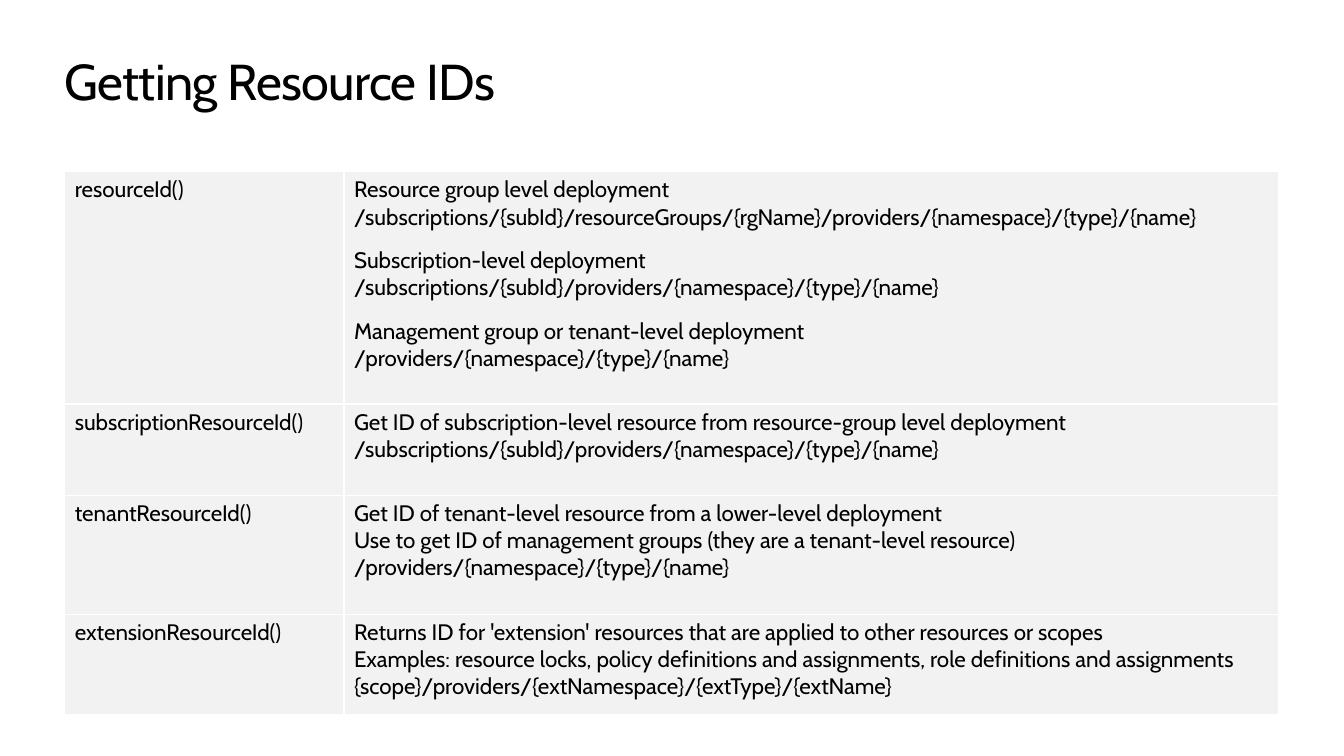
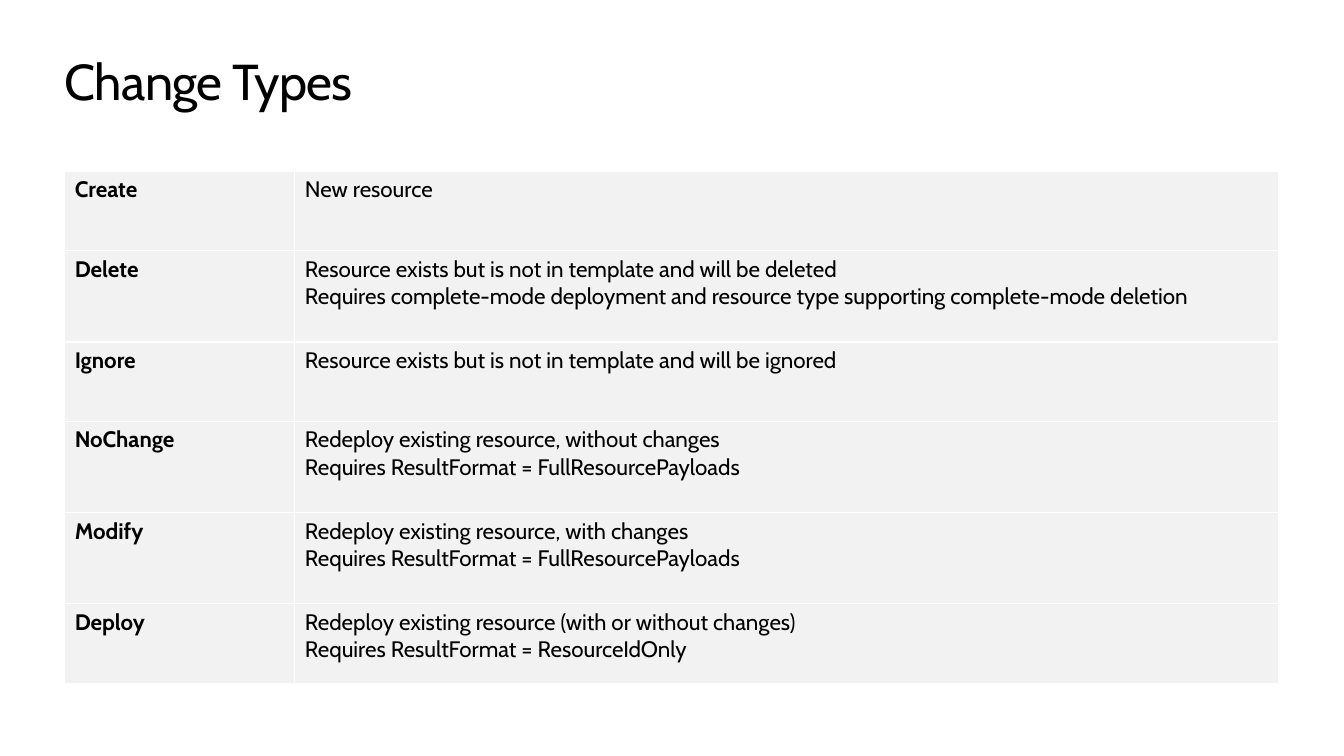
"""Build two slides, each a title above a two-column reference table."""
import copy
import dataclasses

import lxml.etree
import pptx
import pptx.dml.color
import pptx.enum.text
import pptx.oxml
import pptx.oxml.ns
import pptx.util

Cm = pptx.util.Cm
Pt = pptx.util.Pt


@dataclasses.dataclass(frozen=True)
class Theme:
    """Colours, type sizes and shared places."""
    font: str = "Cabin"
    ink: str = "000000"
    cell: str = "F2F2F2"
    border: str = "FFFFFF"
    border_width: int = Pt(1)
    title_size: int = Pt(36)
    title_spacing: str = "-50"
    body_size: int = Pt(16)
    block_gap: int = Pt(12)
    title_box: tuple = (Cm(1.63), Cm(1.27), Cm(30.6), Cm(1.55))
    table_box: tuple = (Cm(1.63), Cm(4.32), Cm(30.6))


THEME = Theme()

RESOURCE_IDS = {
    "title": "Getting Resource IDs",
    "label_width": Cm(7.04),
    "bold_labels": False,
    "rows": [
        (Cm(5.86), "resourceId()", [
            ["Resource group level deployment",
             "/subscriptions/{subId}/resourceGroups/{rgName}/providers/{namespace}/{type}/{name}"],
            ["Subscription-level deployment",
             "/subscriptions/{subId}/providers/{namespace}/{type}/{name}"],
            ["Management group or tenant-level deployment",
             "/providers/{namespace}/{type}/{name}"],
        ]),
        (Cm(2.3), "subscriptionResourceId()", [
            ["Get ID of subscription-level resource from resource-group level deployment\v"
             "/subscriptions/{subId}/providers/{namespace}/{type}/{name}"],
        ]),
        (Cm(3), "tenantResourceId()", [
            ["Get ID of tenant-level resource from a lower-level deployment",
             "Use to get ID of management groups (they are a tenant-level resource)\v"
             "/providers/{namespace}/{type}/{name}"],
        ]),
        (Cm(2.54), "extensionResourceId()", [
            ["Returns ID for 'extension' resources that are applied to other resources or scopes\v"
             "Examples: resource locks, policy definitions and assignments, "
             "role definitions and assignments",
             "{scope}/providers/{extNamespace}/{extType}/{extName}"],
        ]),
    ],
}

CHANGE_TYPES = {
    "title": "Change Types",
    "label_width": Cm(5.8),
    "bold_labels": True,
    "rows": [
        (Cm(2), "Create", [["New resource"]]),
        (Cm(2.3), "Delete", [
            ["Resource exists but is not in template and will be deleted",
             "Requires complete-mode deployment and resource type supporting complete-mode deletion"],
        ]),
        (Cm(2), "Ignore", [["Resource exists but is not in template and will be ignored"]]),
        (Cm(2.3), "NoChange", [
            ["Redeploy existing resource, without changes",
             "Requires ResultFormat = FullResourcePayloads"],
        ]),
        (Cm(2.3), "Modify", [
            ["Redeploy existing resource, with changes",
             "Requires ResultFormat = FullResourcePayloads"],
        ]),
        (Cm(2), "Deploy", [
            ["Redeploy existing resource (with or without changes)",
             "Requires ResultFormat = ResourceIdOnly"],
        ]),
    ],
}


def set_values(target, values):
    """Set each named attribute of the target."""
    for name, value in values.items():
        setattr(target, name, value)


def write_para(para, text, size, bold=False):
    """Write text into a paragraph, with line breaks of the same size."""
    para.text = text
    for span in para.runs:
        set_values(span.font, {"name": THEME.font, "size": size, "bold": bold})
        span.font.color.rgb = pptx.dml.color.RGBColor.from_string(THEME.ink)
    for line_break in para._p.findall(pptx.oxml.ns.qn("a:br")):
        line_break.append(copy.deepcopy(para.runs[0]._r.rPr))


def add_title(page, text, box):
    """Place the slide title in the given box."""
    frame = page.shapes.add_textbox(*box).text_frame
    set_values(frame, {
        "word_wrap": True,
        "vertical_anchor": pptx.enum.text.MSO_ANCHOR.TOP,
        "margin_left": 0, "margin_right": 0, "margin_top": 0, "margin_bottom": 0,
    })
    para = frame.paragraphs[0]
    write_para(para, text, THEME.title_size)
    para.runs[0]._r.get_or_add_rPr().set("spc", THEME.title_spacing)


def style_cell(cell):
    """Give a cell its borders and fill."""
    properties = cell._tc.get_or_add_tcPr()
    for side in ("lnL", "lnR", "lnT", "lnB"):
        line = lxml.etree.SubElement(properties, pptx.oxml.ns.qn(f"a:{side}"),
                                     w=str(THEME.border_width))
        fill = lxml.etree.SubElement(line, pptx.oxml.ns.qn("a:solidFill"))
        lxml.etree.SubElement(fill, pptx.oxml.ns.qn("a:srgbClr"), val=THEME.border)
    cell.fill.solid()
    cell.fill.fore_color.rgb = pptx.dml.color.RGBColor.from_string(THEME.cell)


def fill_cell(cell, blocks, bold=False):
    """Write blocks of paragraphs into a cell, with a gap between blocks."""
    style_cell(cell)
    frame = cell.text_frame
    for block_index, block in enumerate(blocks):
        for line_index, text in enumerate(block):
            first = block_index == line_index == 0
            para = frame.paragraphs[0] if first else frame.add_paragraph()
            if block_index and not line_index:
                para.space_before = THEME.block_gap
            write_para(para, text, THEME.body_size, bold)


def add_reference_table(page, content, box):
    """Place a table of labels and descriptions in the given box."""
    left, top, width = box
    rows = content["rows"]
    height = sum(row[0] for row in rows)
    table = page.shapes.add_table(len(rows), 2, left, top, width, height).table
    set_values(table, {"first_row": False, "horz_banding": False})
    table.columns[0].width = content["label_width"]
    table.columns[1].width = width - content["label_width"]
    for index, (row_height, label, blocks) in enumerate(rows):
        table.rows[index].height = row_height
        fill_cell(table.cell(index, 0), [[label]], content["bold_labels"])
        fill_cell(table.cell(index, 1), blocks)


def add_table_page(deck, content):
    """Add a slide with a title and a reference table."""
    page = deck.slides.add_slide(deck.slide_layouts[6])
    add_title(page, content["title"], THEME.title_box)
    add_reference_table(page, content, THEME.table_box)


def main():
    """Build and save the deck."""
    deck = pptx.Presentation()
    set_values(deck, {"slide_width": Cm(33.87), "slide_height": Cm(19.05)})
    for content in (RESOURCE_IDS, CHANGE_TYPES):
        add_table_page(deck, content)
    deck.save("out.pptx")


if __name__ == "__main__":
    main()
